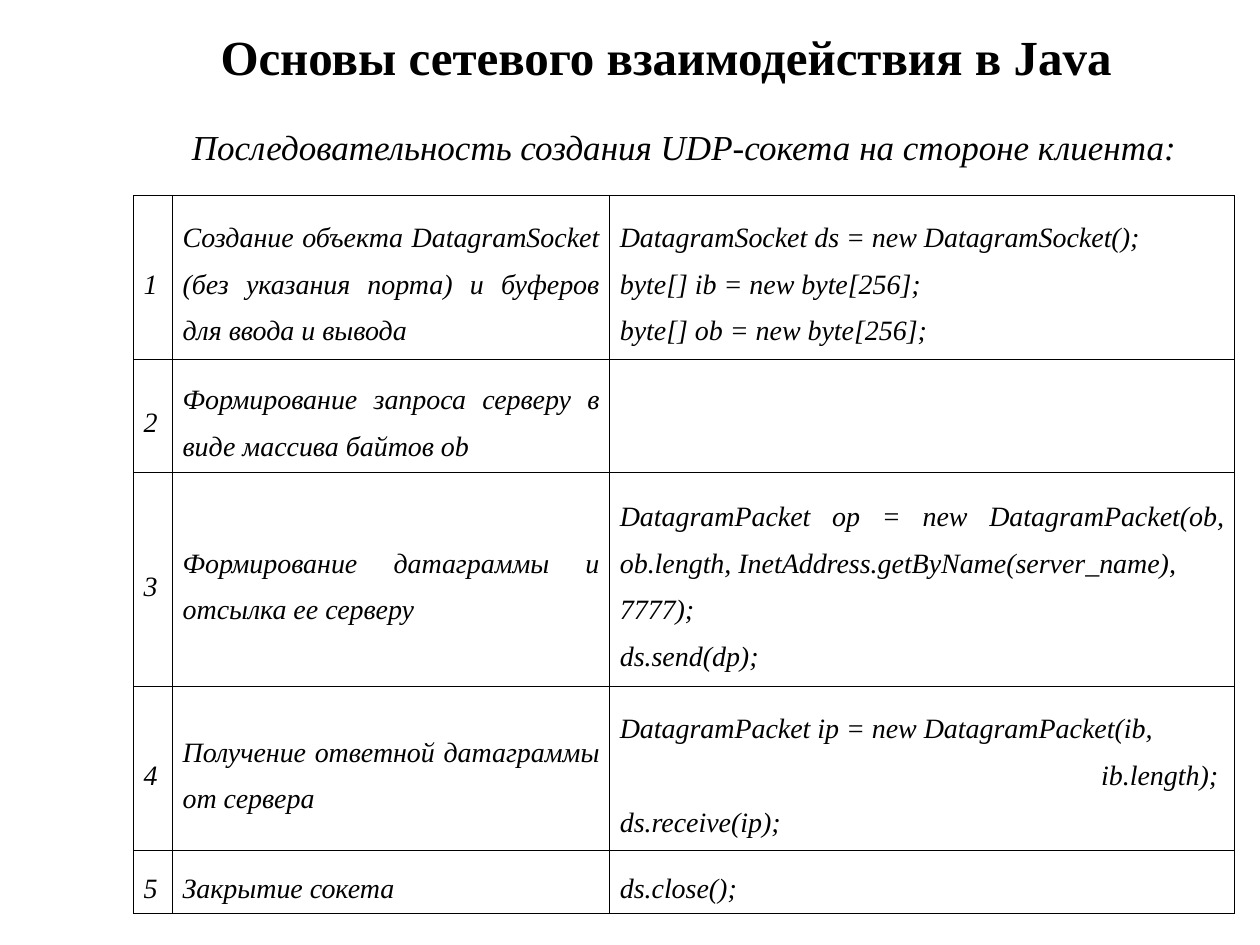
from dataclasses import dataclass

from lxml import etree
from pptx import Presentation
from pptx.dml.color import RGBColor
from pptx.enum.text import MSO_ANCHOR, PP_ALIGN
from pptx.oxml.ns import qn
from pptx.util import Inches, Pt

CENTER = PP_ALIGN.CENTER
JUSTIFY = PP_ALIGN.JUSTIFY
LEFT = PP_ALIGN.LEFT
MIDDLE = MSO_ANCHOR.MIDDLE
TOP = MSO_ANCHOR.TOP


@dataclass(frozen=True)
class Theme:
    font: str = "Times New Roman"
    ink: str = "000000"
    title_size: int = 28
    subtitle_size: int = 20
    table_size: int = 16
    border_width: float = 0.45
    line_spacing: float = 1.5


class SlideBuilder:
    def __init__(self, page, theme):
        self.page = page
        self.theme = theme

    def style(self, para, size, align, bold=False, italic=False):
        para.alignment = align
        for span in para.runs:
            font = span.font
            font.name = self.theme.font
            font.size = Pt(size)
            font.bold = bold
            font.italic = italic
            font.color.rgb = RGBColor.from_string(self.theme.ink)

    def text(self, text, left, top, width, height, size, anchor=TOP,
             margins=(0.1, 0.05), bold=False, italic=False):
        box = self.page.shapes.add_textbox(
            Inches(left), Inches(top), Inches(width), Inches(height))
        frame = box.text_frame
        frame.word_wrap = True
        frame.vertical_anchor = anchor
        frame.margin_left = frame.margin_right = Inches(margins[0])
        frame.margin_top = frame.margin_bottom = Inches(margins[1])
        frame.text = text
        self.style(frame.paragraphs[0], size, CENTER, bold, italic)

    def borders(self, cell):
        properties = cell._tc.get_or_add_tcPr()
        for position, side in enumerate(("a:lnL", "a:lnR", "a:lnT", "a:lnB")):
            line = etree.Element(qn(side), w=str(Pt(self.theme.border_width)))
            fill = etree.SubElement(line, qn("a:solidFill"))
            etree.SubElement(fill, qn("a:srgbClr"), val=self.theme.ink)
            properties.insert(position, line)

    def cell(self, cell, text, indents):
        cell.fill.background()
        cell.vertical_anchor = MIDDLE
        cell.margin_left = cell.margin_right = Inches(0.08)
        cell.margin_top = cell.margin_bottom = Inches(0.05)
        self.borders(cell)
        cell.text_frame.text = text
        for para in cell.text_frame.paragraphs:
            indent = indents.get(para.text)
            if indent:
                para._p.get_or_add_pPr().set("marL", str(Inches(indent)))
            para.line_spacing = self.theme.line_spacing
            self.style(para, self.theme.table_size,
                       LEFT if indent else JUSTIFY, italic=True)

    def table(self, rows, left, top, widths, heights, indents):
        frame = self.page.shapes.add_table(
            len(rows), len(widths), Inches(left), Inches(top),
            Inches(sum(widths)), Inches(sum(heights)))
        table = frame.table
        table.first_row = False
        table.horz_banding = False
        for column, width in zip(table.columns, widths):
            column.width = Inches(width)
        for row, height, texts in zip(table.rows, heights, rows):
            row.height = Inches(height)
            for cell, text in zip(row.cells, texts):
                self.cell(cell, text, indents)


STEPS = [
    (3, "Создание объекта DatagramSocket (без указания порта) и буферов для ввода и вывода",
     "DatagramSocket ds = new DatagramSocket();\n"
     "byte[] ib = new byte[256];\n"
     "byte[] ob = new byte[256];"),
    (2, "Формирование запроса серверу в виде массива байтов ob", ""),
    (4, "Формирование датаграммы и отсылка ее серверу",
     "DatagramPacket op = new DatagramPacket(ob, ob.length, "
     "InetAddress.getByName(server_name),\n"
     "7777);\n"
     "ds.send(dp);"),
    (3, "Получение ответной датаграммы от сервера",
     "DatagramPacket ip = new DatagramPacket(ib,\n"
     "ib.length);\n"
     "ds.receive(ip);"),
    (1, "Закрытие сокета", "ds.close();"),
]
LINE_HEIGHT = 0.4
CODE_INDENTS = {"ib.length);": 3.82}


def main():
    deck = Presentation()
    deck.slide_width = Inches(10)
    deck.slide_height = Inches(7.5)
    page = deck.slides.add_slide(deck.slide_layouts[6])
    theme = Theme()
    builder = SlideBuilder(page, theme)
    builder.text("Основы сетевого взаимодействия в Java", 1.23, 0.21, 8.11, 0.47,
                 theme.title_size, anchor=MIDDLE, margins=(0, 0), bold=True)
    builder.text("Последовательность создания UDP-сокета на стороне клиента:",
                 1.06, 0.95, 8.74, 0.44, theme.subtitle_size, italic=True)
    rows = [(str(number), action, code)
            for number, (lines, action, code) in enumerate(STEPS, 1)]
    heights = [lines * LINE_HEIGHT for lines, action, code in STEPS]
    builder.table(rows, 1.06, 1.55, [0.31, 3.47, 4.96], heights, CODE_INDENTS)
    deck.save("out.pptx")


if __name__ == "__main__":
    main()
